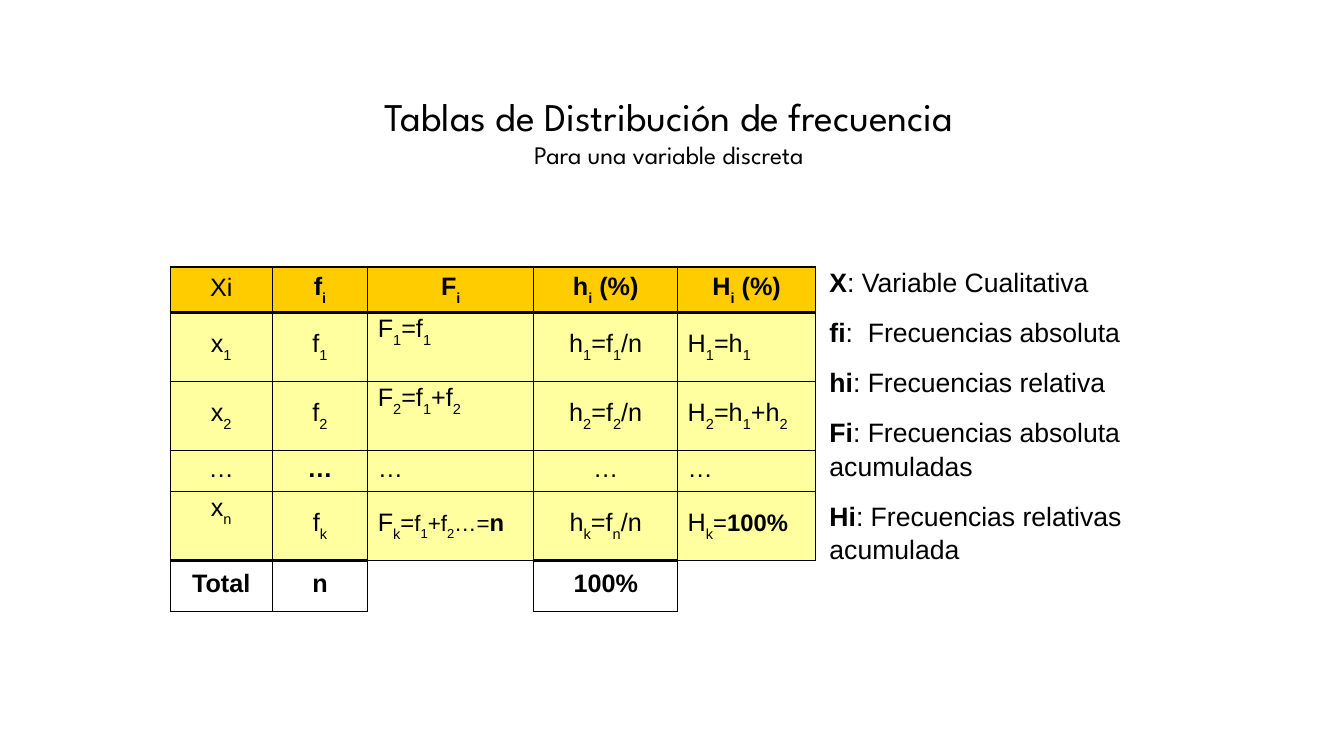
"""Build a slide on discrete frequency tables."""
from dataclasses import dataclass
from itertools import product

from lxml import etree
from pptx import Presentation
from pptx.dml.color import RGBColor
from pptx.enum import text as t
from pptx.oxml import ns
from pptx.util import Cm, Pt


@dataclass(frozen=True)
class Theme:
    """Hold the colours, fonts and type sizes."""
    ink: str = "000000"
    head: str = "FFCC00"
    body: str = "FFFF9F"
    font: str = "Arial"
    show: str = "League Spartan"
    title: int = 28
    sub: int = 18
    cell: int = 18
    key: int = 19


LOOK = Theme()
TITLE = ("Tablas de Distribución de frecuencia", "Para una variable discreta")
KEYS = (
    ("X", ": Variable Cualitativa"),
    ("fi", ":  Frecuencias absoluta"),
    ("hi", ": Frecuencias relativa"),
    ("Fi", ": Frecuencias absoluta acumuladas"),
    ("Hi", ": Frecuencias relativas acumulada"),
)
ROWS = (
    ("Xi", "*f_i", "*F_i", "*h_i (%)", "*H_i (%)"),
    ("x_1", "f_1", "F_1=f_1", "h_1=f_1/n", "H_1=h_1"),
    ("x_2", "f_2", "F_2=f_1+f_2", "h_2=f_2/n", "H_2=h_1+h_2"),
    ("…", "*…", "…", "…", "…"),
    ("x_n", "f_k", "F_k~=~f_1+f_2…=^*n", "h_k=f_n/n", "H_k~=*100%"),
    ("*Total", "*n", "", "*100%", ""),
)
WIDE = (2.57, 2.41, 4.18, 3.63, 3.47)
HIGH = (1.15, 1.74, 1.74, 1.03, 1.74, 1.28)
LEFT = (2, 4)
RAISED = ((1, 2), (2, 2), (4, 0))


def add_run(para, words, size, font=LOOK.font, bold=False, low=False):
    """Add one run of text, lowered when it is a subscript."""
    run = para.add_run()
    run.text = words
    run.font.name, run.font.size, run.font.bold = font, Pt(size), bold
    run.font.color.rgb = RGBColor.from_string(LOOK.ink)
    if low:
        run.font._element.set("baseline", "-30000")


def add_math(para, code):
    """Write a formula: _ lowers a letter, * is bold, ~ and ^ step the size."""
    size, bold, low, words = LOOK.cell, False, False, ""
    for mark in code:
        if mark in "_*~^":
            if words:
                add_run(para, words, size, bold=bold)
            words = ""
            low = mark == "_"
            bold = bold or mark == "*"
            size += {"~": -1, "^": 1}.get(mark, 0)
        elif low:
            add_run(para, mark, size, bold=bold, low=True)
            low = False
        else:
            words += mark
    if words:
        add_run(para, words, size, bold=bold)


def add_edge(cell, side, width):
    """Draw one side of a cell, or clear it when the width is zero."""
    props = cell._tc.get_or_add_tcPr()
    line = etree.SubElement(props, ns.qn(f"a:ln{side}"), w=str(Pt(width)))
    if width:
        fill = etree.SubElement(line, ns.qn("a:solidFill"))
        etree.SubElement(fill, ns.qn("a:srgbClr"), val=LOOK.ink)
    else:
        etree.SubElement(line, ns.qn("a:noFill"))


def set_edges(cell, row, col):
    """Give a cell its thin, thick or missing sides."""
    last = len(ROWS) - 1
    blank = not ROWS[row][col]
    heavy = row < last and (row == 0 or row == last - 1 and ROWS[last][col])
    thick = row == 1 or row == last and not blank
    add_edge(cell, "L", 1)
    add_edge(cell, "R", 0 if blank and col == len(WIDE) - 1 else 1)
    add_edge(cell, "T", 2 if thick else 1)
    add_edge(cell, "B", 0 if blank else 2 if heavy else 1)


def set_cell(cell, row, col):
    """Fill, align and letter one cell."""
    set_edges(cell, row, col)
    if row == len(ROWS) - 1:
        cell.fill.background()
    else:
        cell.fill.solid()
        tone = LOOK.body if row else LOOK.head
        cell.fill.fore_color.rgb = RGBColor.from_string(tone)
    cell.margin_left = cell.margin_right = Cm(0.25)
    cell.margin_top, cell.margin_bottom = Cm(0.05), Cm(0.13)
    high = (row, col) in RAISED
    cell.vertical_anchor = t.MSO_ANCHOR.TOP if high else t.MSO_ANCHOR.MIDDLE
    para = cell.text_frame.paragraphs[0]
    left = row and col in LEFT
    para.alignment = t.PP_ALIGN.LEFT if left else t.PP_ALIGN.CENTER
    para.line_spacing = 0.93
    add_math(para, ROWS[row][col])


def add_grid(slide):
    """Add the frequency table."""
    size = Cm(sum(WIDE)), Cm(sum(HIGH))
    grid = slide.shapes.add_table(
        len(ROWS), len(WIDE), Cm(4.29), Cm(6.73), *size).table
    grid.first_row = grid.horz_banding = False
    for col, width in zip(grid.columns, WIDE):
        col.width = Cm(width)
    for row, height in zip(grid.rows, HIGH):
        row.height = Cm(height)
    for row, col in product(range(len(ROWS)), range(len(WIDE))):
        set_cell(grid.cell(row, col), row, col)


def place(shape, left, top, width, height, anchor):
    """Move a placeholder and return its text frame."""
    shape.left, shape.top = Cm(left), Cm(top)
    shape.width, shape.height = Cm(width), Cm(height)
    frame = shape.text_frame
    frame.word_wrap = True
    frame.auto_size = t.MSO_AUTO_SIZE.NONE
    frame.vertical_anchor = anchor
    return frame


def add_title(slide):
    """Write the title and the line under it."""
    frame = place(slide.shapes.title, 5.33, 2.69, 23.06, 1.24,
                  t.MSO_ANCHOR.MIDDLE)
    para = frame.paragraphs[0]
    para.alignment = t.PP_ALIGN.CENTER
    add_run(para, TITLE[0], LOOK.title, LOOK.show)
    para.add_line_break()
    add_run(para, TITLE[1], LOOK.sub, LOOK.show)


def add_keys(slide):
    """List the meaning of each symbol."""
    frame = place(slide.placeholders[1], 20.65, 6.53, 8.86, 7.65,
                  t.MSO_ANCHOR.TOP)
    for spot, (sign, sense) in enumerate(KEYS):
        para = frame.add_paragraph() if spot else frame.paragraphs[0]
        para.space_before, para.line_spacing = Pt(11.9), 1.05
        props = para._p.get_or_add_pPr()
        props.set("marL", "0")
        props.set("indent", "0")
        etree.SubElement(props, ns.qn("a:buNone"))
        add_run(para, sign, LOOK.key, bold=True)
        add_run(para, sense, LOOK.key)


def main():
    """Build and save the slide."""
    deck = Presentation()
    deck.slide_width, deck.slide_height = Cm(33.87), Cm(19.05)
    slide = deck.slides.add_slide(deck.slide_layouts[1])
    add_grid(slide)
    add_title(slide)
    add_keys(slide)
    deck.save("out.pptx")


if __name__ == "__main__":
    main()
